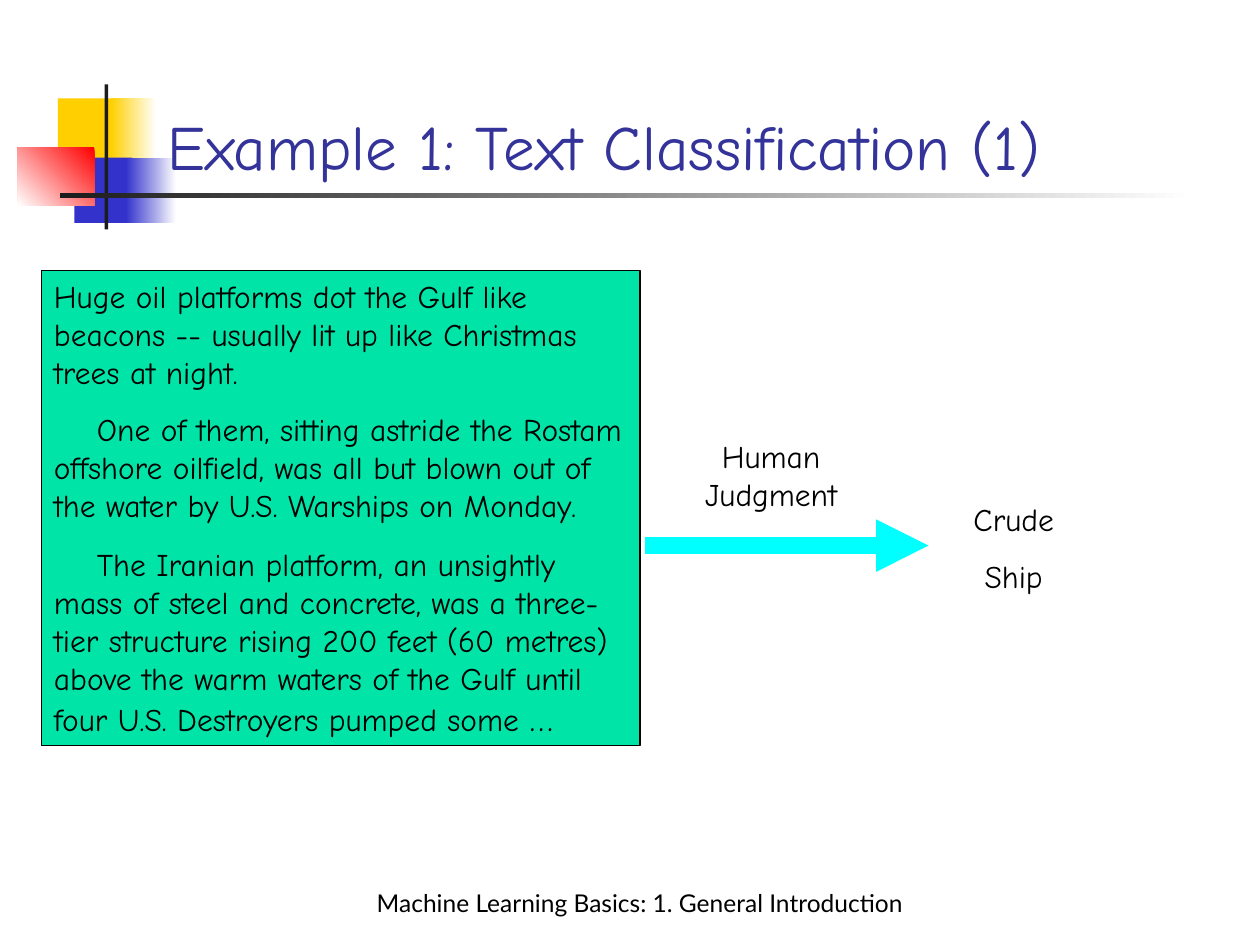
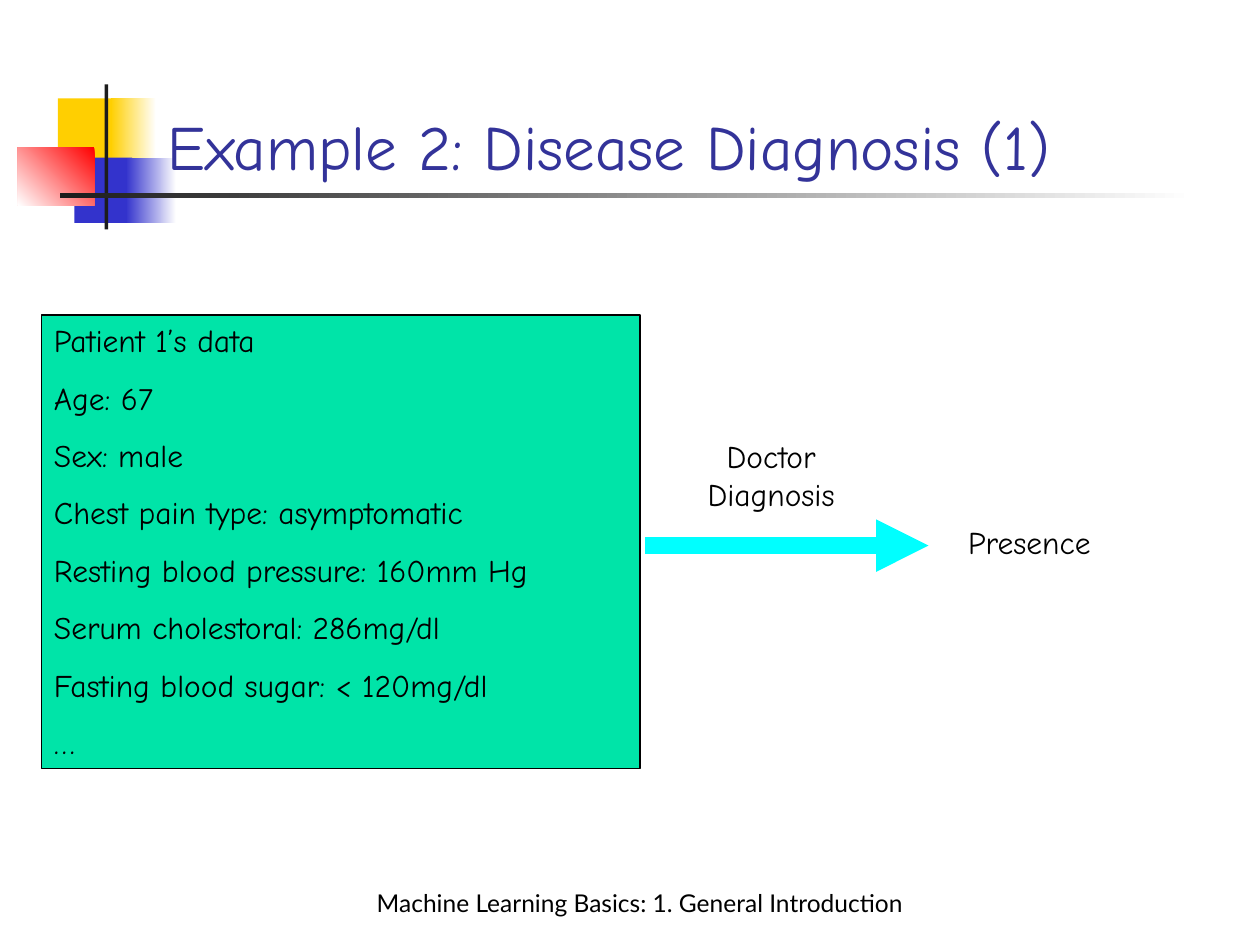
from lxml import etree
from pptx import Presentation
from pptx import util as u
from pptx.dml.color import RGBColor
from pptx.enum import shapes, text
from pptx.oxml.ns import qn

PX = 9144  # 100 px to the inch
WHITE = RGBColor(0xFF, 0xFF, 0xFF)
BLACK = RGBColor(0x00, 0x00, 0x00)
CHARCOAL = RGBColor(0x1C, 0x1C, 0x1C)
YELLOW = RGBColor(0xFF, 0xCF, 0x01)
BLUE = RGBColor(0x33, 0x33, 0xCC)
RED = RGBColor(0xFF, 0x00, 0x00)
NAVY = RGBColor(0x33, 0x33, 0x99)
GREEN = RGBColor(0x00, 0xE4, 0xA8)
CYAN = RGBColor(0x00, 0xFF, 0xFF)
HAND, SANS = "Comic Neue", "Lato"
FOOTER = "Machine Learning Basics: 1. General Introduction"

# left, top, width, height, gradient start and end, angle
ORNAMENT = [
    (46, 78, 48, 52, YELLOW, YELLOW, 0),
    (88, 78, 36, 52, WHITE, YELLOW, 180),
    (59, 125, 46, 52, BLUE, BLUE, 0),
    (100, 125, 40, 52, WHITE, BLUE, 180),
    (14, 117, 61, 46, RED, WHITE, 225),
    (83, 67, 3, 115, CHARCOAL, CHARCOAL, 0),
    (48, 153, 900, 4, WHITE, CHARCOAL, 180),
]

EXAMPLES = [
    dict(
        title="Example 1: Text Classification (1)",
        box=(33, 215, 475, 377),
        data=[
            "Huge oil platforms dot the Gulf like beacons -- usually lit up like "
            "Christmas trees at night.",
            "One of them, sitting astride the Rostam offshore oilfield, was all but "
            "blown out of the water by U.S. Warships on Monday.",
            "The Iranian platform, an unsightly mass of steel and concrete, was a "
            "three-tier structure rising 200 feet (60 metres) above the warm waters "
            "of the Gulf until four U.S. Destroyers pumped some ",
        ],
        data_format=dict(gaps=(0, 11.2, 12.5), indent=34, closing=("…", 20)),
        judge="Human Judgment",
        result_box=(742, 392, 125, 86),
        result=["Crude", "Ship"],
    ),
    dict(
        title="Example 2: Disease Diagnosis (1)",
        box=(33, 250, 475, 360),
        data=[
            "Patient 1’s data",
            "Age: 67",
            "Sex: male",
            "Chest pain type: asymptomatic",
            "Resting blood pressure: 160mm Hg",
            "Serum cholestoral: 286mg/dl",
            "Fasting blood sugar: < 120mg/dl",
            "…",
        ],
        data_format={},
        judge="Doctor Diagnosis",
        result_box=(742, 410, 150, 40),
        result=["Presence"],
    ),
]


def add_rectangle(page, *place):
    box = page.shapes.add_shape(
        shapes.MSO_SHAPE.RECTANGLE, *(n * PX for n in place))
    box.shadow.inherit = False
    box.line.fill.background()
    return box


def write(box, paragraphs, size=18, font=HAND, color=BLACK,
          align=text.PP_ALIGN.LEFT, anchor=text.MSO_ANCHOR.TOP,
          gaps=None, indent=0, closing=None):
    """Fill box; indent starts later paragraphs, closing is a last (words, size) run."""
    frame = box.text_frame
    frame.word_wrap = True
    frame.vertical_anchor = anchor
    gaps = gaps or [0] + [11.2] * (len(paragraphs) - 1)
    for index, (words, gap) in enumerate(zip(paragraphs, gaps)):
        para = frame.add_paragraph() if index else frame.paragraphs[0]
        para.alignment = align
        para.space_before = u.Pt(gap)
        spans = [(words, size)]
        if index and indent:
            para._p.get_or_add_pPr().set("indent", str(indent * PX))
        if closing and index == len(paragraphs) - 1:
            spans.append(closing)
        for span_words, span_size in spans:
            span = para.add_run()
            span.text = span_words
            span.font.size = u.Pt(span_size)
            span.font.name = font
            span.font.color.rgb = color


deck = Presentation()
deck.slide_width, deck.slide_height = 1000 * PX, 750 * PX

for example in EXAMPLES:
    page = deck.slides.add_slide(deck.slide_layouts[6])

    for *place, start, end, angle in ORNAMENT:
        block = add_rectangle(page, *place)
        if start == end:
            block.fill.solid()
            block.fill.fore_color.rgb = start
        else:
            block.fill.gradient()
            block.fill.gradient_angle = angle
            for stop, color in zip(block.fill.gradient_stops, (start, end)):
                stop.color.rgb = color

    data_box = add_rectangle(page, *example["box"])
    data_box.fill.solid()
    data_box.fill.fore_color.rgb = GREEN
    data_box.line.color.rgb = BLACK
    data_box.line.width = u.Pt(0.75)
    write(data_box, example["data"], **example["data_format"])

    arrow = page.shapes.add_connector(
        shapes.MSO_CONNECTOR.STRAIGHT, 512 * PX, 433 * PX, 737 * PX, 433 * PX)
    arrow.line.color.rgb = CYAN
    arrow.line.width = u.Pt(10)
    etree.SubElement(arrow.line._get_or_add_ln(), qn("a:tailEnd"), type="triangle")
    etree.SubElement(arrow._element.spPr, qn("a:effectLst"))

    centred = dict(align=text.PP_ALIGN.CENTER)
    bottom = dict(anchor=text.MSO_ANCHOR.BOTTOM)
    for place, paragraphs, look in [
        ((123, 50, 852, 100), [example["title"]], dict(size=36, color=NAVY, **bottom)),
        ((533, 342, 158, 70), [example["judge"]], centred),
        (example["result_box"], example["result"], centred),
        ((83, 683, 850, 50), [FOOTER], dict(size=14, font=SANS, **centred, **bottom)),
    ]:
        label = page.shapes.add_textbox(*(n * PX for n in place))
        write(label, paragraphs, **look)

deck.save("out.pptx")
